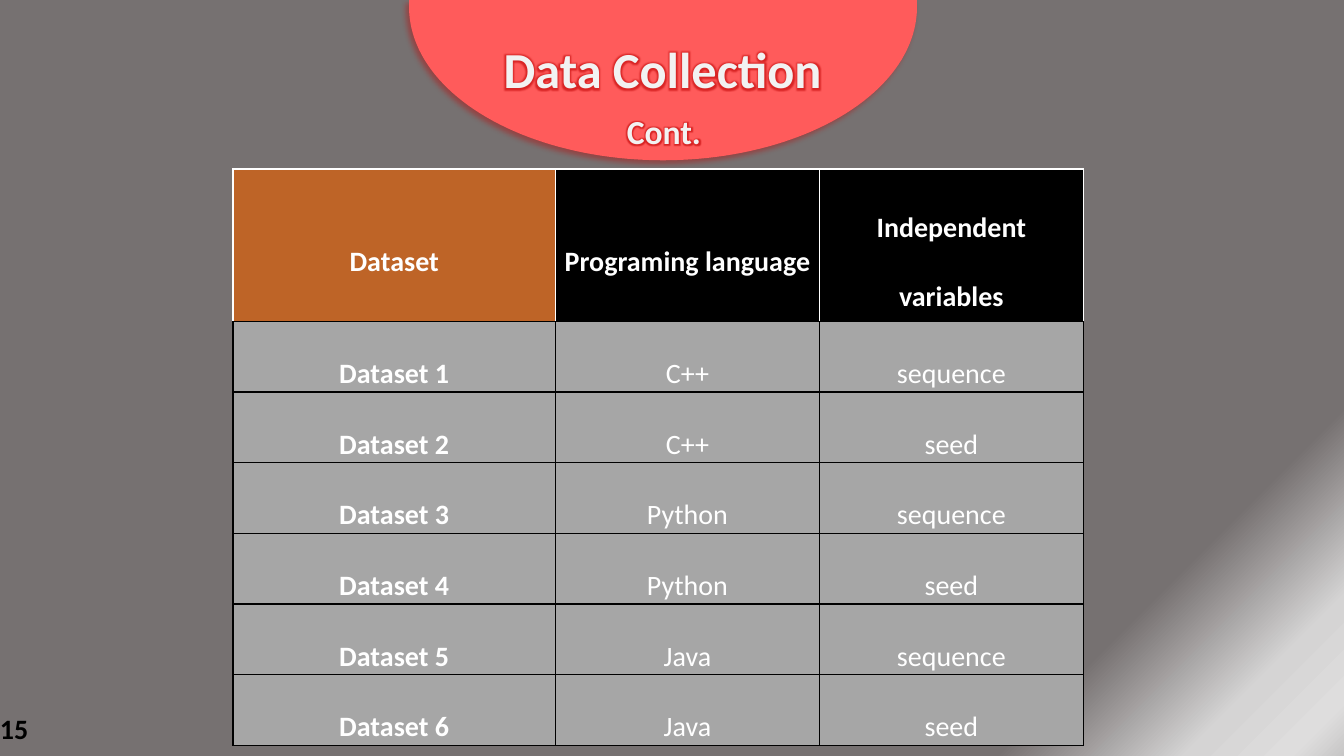
import math
from dataclasses import dataclass

import pptx
import pptx.dml.color
import pptx.enum.shapes
import pptx.enum.text
import pptx.oxml
import pptx.oxml.ns
import pptx.util

Cm = pptx.util.Cm
Pt = pptx.util.Pt
ALIGN = pptx.enum.text.PP_ALIGN
ANCHOR = pptx.enum.text.MSO_ANCHOR
NS = pptx.oxml.ns.nsdecls("a")


@dataclass(frozen=True)
class Theme:
    font: str = "Calibri"
    title: int = 36
    subtitle: int = 24
    body: int = 20
    background: str = "E7E6E6"
    stops: tuple = ((0, "767171"), (83, "767171"), (92, "D5D4D4"),
                    (97, "DEDDDD"), (100, "C3C2C2"))
    banner: str = "FF5B5B"
    accent: str = "C00000"
    heading: str = "F2F2F2"
    white: str = "FFFFFF"
    black: str = "000000"
    first_header: str = "BE6427"
    cell: str = "A6A6A6"


def rgb(value):
    return pptx.dml.color.RGBColor.from_string(value)


def solid(value, alpha=100):
    return (f'<a:solidFill {NS}><a:srgbClr val="{value}">'
            f'<a:alpha val="{alpha * 1000}"/></a:srgbClr></a:solidFill>')


def write(tf, text, *, font, size, color, bold=True, align=ALIGN.CENTER,
          spacing=None, glow=None):
    p = tf.paragraphs[0]
    p.alignment = align
    if spacing:
        p.line_spacing = spacing
    r = p.add_run()
    r.text = text
    r.font.size = Pt(size)
    r.font.bold = bold
    r.font.color.rgb = rgb(color)
    r.font.name = font
    if glow:
        rPr = r.font._element
        rPr.insert(0, pptx.oxml.parse_xml(
            f'<a:ln {NS} w="{Pt(0.75)}">{solid(glow)}</a:ln>'))
        rPr.insert(2, pptx.oxml.parse_xml(
            f'<a:effectLst {NS}><a:glow rad="{Pt(5)}"><a:srgbClr val="{glow}">'
            f'<a:alpha val="60000"/></a:srgbClr></a:glow></a:effectLst>'))


class SlideBuilder:
    def __init__(self, s, theme):
        self.s = s
        self.theme = theme
        s.background.fill.solid()
        s.background.fill.fore_color.rgb = rgb(theme.background)

    def backdrop(self, width, height):
        sp = self.s.shapes.add_shape(
            pptx.enum.shapes.MSO_SHAPE.RECTANGLE, 0, 0, Cm(width), Cm(height))
        sp.shadow.inherit = False
        sp.line.fill.background()
        sp.fill.gradient()
        grad = sp._element.spPr.find(pptx.oxml.ns.qn("a:gradFill"))
        stops = "".join(
            f'<a:gs pos="{pos * 1000}"><a:srgbClr val="{color}"/></a:gs>'
            for pos, color in self.theme.stops)
        grad.getparent().replace(grad, pptx.oxml.parse_xml(
            f'<a:gradFill {NS} rotWithShape="1"><a:gsLst>{stops}</a:gsLst>'
            f'<a:lin ang="2700000" scaled="0"/></a:gradFill>'))

    def half_ellipse(self, left, width, height, rim, steps=90):
        rx, ry = width / 2, height - rim
        arc = [(Cm(left + rx + rx * math.cos(math.pi * i / steps)),
                Cm(rim + ry * math.sin(math.pi * i / steps)))
               for i in range(steps + 1)]
        fb = self.s.shapes.build_freeform(Cm(left), 0)
        fb.add_line_segments([(Cm(left + width), 0)] + arc, close=True)
        sp = fb.convert_to_shape()
        sp.fill.solid()
        sp.fill.fore_color.rgb = rgb(self.theme.banner)
        sp.line.fill.background()
        sp.shadow.inherit = False
        effects = sp._element.spPr.find(pptx.oxml.ns.qn("a:effectLst"))
        effects.append(pptx.oxml.parse_xml(
            f'<a:outerShdw {NS} blurRad="{Pt(4)}" dist="{Pt(3)}" dir="8100000" '
            f'rotWithShape="0"><a:srgbClr val="{self.theme.accent}">'
            f'<a:alpha val="40000"/></a:srgbClr></a:outerShdw>'))

    def text(self, box, text, *, anchor=ANCHOR.TOP, **fmt):
        tf = self.s.shapes.add_textbox(*map(Cm, box)).text_frame
        tf.word_wrap = True
        tf.vertical_anchor = anchor
        write(tf, text, font=self.theme.font, **fmt)

    def borders(self, cell, sides):
        tcPr = cell._tc.get_or_add_tcPr()
        for i, side in enumerate(sides):
            tcPr.insert(i, pptx.oxml.parse_xml(
                f'<a:ln{side} {NS} w="{Pt(1)}">{solid(self.theme.black)}</a:ln{side}>'))

    def table(self, left, top, widths, heights, rows):
        t = self.theme
        table = self.s.shapes.add_table(
            len(rows), len(widths), Cm(left), Cm(top),
            Cm(sum(widths)), Cm(sum(heights))).table
        for column, width in zip(table.columns, widths):
            column.width = Cm(width)
        for row, height in zip(table.rows, heights):
            row.height = Cm(height)
        for i, values in enumerate(rows):
            for j, value in enumerate(values):
                cell = table.cell(i, j)
                cell.margin_left = cell.margin_right = Cm(0.18)
                cell.margin_top = cell.margin_bottom = 0
                cell.vertical_anchor = ANCHOR.MIDDLE
                header = t.first_header if j == 0 else t.black
                cell.fill.solid()
                cell.fill.fore_color.rgb = rgb(header if i == 0 else t.cell)
                self.borders(cell, "B" if i == 0 else "LRTB")
                write(cell.text_frame, value, font=t.font, size=t.body,
                      color=t.white, bold=i == 0 or j == 0, spacing=2.0)


def main():
    prs = pptx.Presentation()
    prs.slide_width, prs.slide_height = Cm(33.87), Cm(19.05)
    theme = Theme()
    slide = SlideBuilder(prs.slides.add_slide(prs.slide_layouts[6]), theme)
    heading = dict(color=theme.heading, glow=theme.accent)

    slide.backdrop(34.11, 19.05)
    slide.half_ellipse(10.31, 12.8, 4.04, 0.18)
    slide.text((11.2, 0.84, 11, 1.8), "Data Collection", size=theme.title, **heading)

    languages = ("C++", "Python", "Java")
    variables = ("sequence", "seed")
    pairs = [(lang, var) for lang in languages for var in variables]
    rows = [("Dataset", "Programing language", "Independent variables")]
    rows += [(f"Dataset {n}", *pair) for n, pair in enumerate(pairs, 1)]
    slide.table(5.87, 4.26, (8.13, 6.65, 6.65), [3.84] + [1.78] * len(pairs), rows)

    slide.text((14.48, 2.67, 4.5, 1.27), "Cont.", size=theme.subtitle, **heading)
    slide.text((-0.25, 17.83, 7.62, 1.02), "15", size=theme.body,
               color=theme.black, align=ALIGN.LEFT, anchor=ANCHOR.MIDDLE)
    prs.save("out.pptx")


if __name__ == "__main__":
    main()
